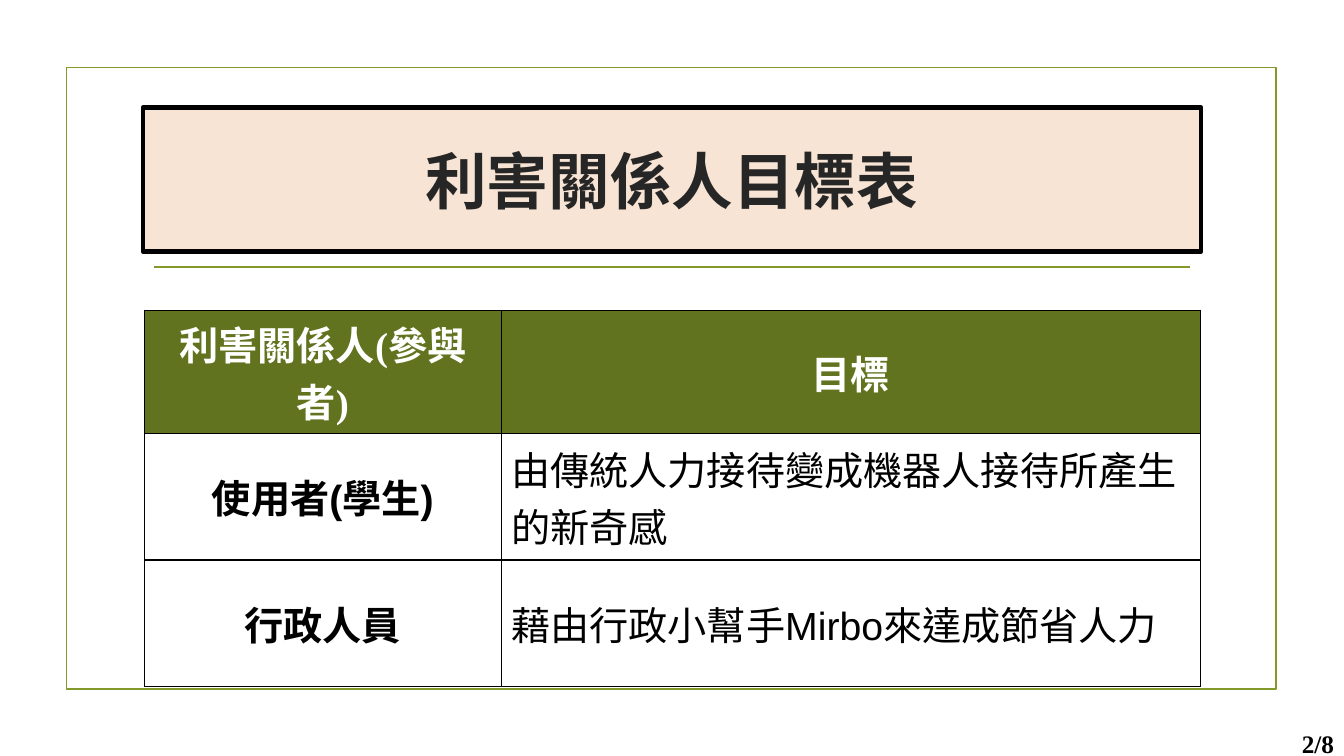
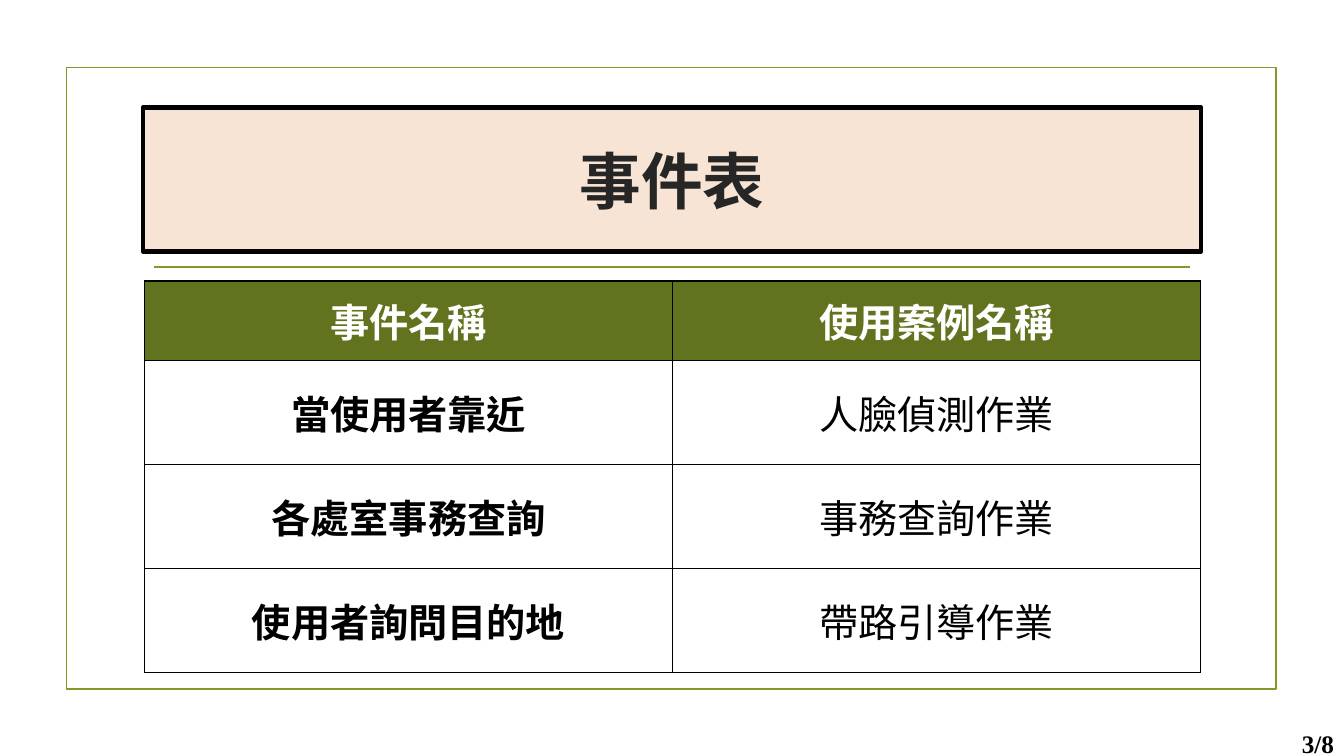
from dataclasses import dataclass

from lxml.etree import SubElement
from pptx import Presentation
from pptx.dml.color import RGBColor
from pptx.enum.lang import MSO_LANGUAGE_ID
from pptx.enum.shapes import MSO_CONNECTOR, MSO_SHAPE
from pptx.enum.text import MSO_ANCHOR, MSO_AUTO_SIZE, PP_ALIGN
from pptx.oxml.ns import qn
from pptx.util import Cm, Pt

OLIVE, DARK_OLIVE, PEACH = "83992A", "62731F", "F7E4D4"
BLACK, CHARCOAL, WHITE = "000000", "262626", "FFFFFF"
SERIF, SANS = "Times New Roman", "Arial"
TITLE_FONT = {"name": SERIF, "size": Pt(44), "bold": True}
HEAD_FONT = {"name": SANS, "size": Pt(28), "bold": True}
BODY_FONT = {**HEAD_FONT, "bold": False}
PAGE_FONT = {"name": SERIF, "size": Pt(18), "bold": True}
PAGE_COUNT = 8


@dataclass
class TableSlide:
    """Content and table measures, in centimetres, of one slide."""

    page: int
    title: str
    top: float
    widths: list[float]
    heights: list[float]
    rows: list[tuple[str, str]]
    first_font: str = SANS
    body_align: PP_ALIGN = PP_ALIGN.CENTER


SLIDES = [
    TableSlide(
        2, "利害關係人目標表", 7.82, [8.99, 17.63], [2.59, 3.18, 3.18],
        [
            ("利害關係人(參與者)", "目標"),
            ("使用者(學生)", "由傳統人力接待變成機器人接待所產生的新奇感"),
            ("行政人員", "藉由行政小幫手Mirbo來達成節省人力"),
        ],
        first_font=SERIF, body_align=PP_ALIGN.LEFT,
    ),
    TableSlide(
        3, "事件表", 7.08, [13.31] * 2, [2.01] + [2.62] * 3,
        [
            ("事件名稱", "使用案例名稱"),
            ("當使用者靠近", "人臉偵測作業"),
            ("各處室事務查詢", "事務查詢作業"),
            ("使用者詢問目的地", "帶路引導作業"),
        ],
        first_font=SERIF,
    ),
]


def rgb(value: str) -> RGBColor:
    """Return the colour of a hex string."""
    return RGBColor.from_string(value)


def write(tf, text: str, font: dict, color: str, align: PP_ALIGN) -> None:
    """Fill a text frame with one formatted run."""
    p = tf.paragraphs[0]
    p.alignment = align
    r = p.add_run()
    r.text = text
    for name, value in font.items():
        setattr(r.font, name, value)
    r.font.language_id = MSO_LANGUAGE_ID.TRADITIONAL_CHINESE
    r.font.color.rgb = rgb(color)


def outline(shape, color: str, width: float) -> None:
    """Set the line of a shape or connector."""
    shape.line.color.rgb = rgb(color)
    shape.line.width = Pt(width)


def add_frame(s) -> None:
    """Draw the border and the rule under the title."""
    frame = s.shapes.add_shape(
        MSO_SHAPE.RECTANGLE, Cm(1.68), Cm(1.7), Cm(30.48), Cm(15.67))
    frame.fill.background()
    frame.shadow.inherit = False
    rule = s.shapes.add_connector(
        MSO_CONNECTOR.STRAIGHT, Cm(3.89), Cm(6.73), Cm(30), Cm(6.73))
    SubElement(rule.element.spPr, qn("a:effectLst"))
    for shape in (frame, rule):
        outline(shape, OLIVE, 1.25)
    effects = rule.element.spPr.find(qn("a:effectLst"))
    rule.element.spPr.append(effects)


def add_title(s, text: str) -> None:
    """Place and format the title placeholder."""
    sp = s.shapes.title
    box = {"left": Cm(3.6), "top": Cm(2.71), "width": Cm(26.67), "height": Cm(3.63)}
    for name, value in box.items():
        setattr(sp, name, value)
    sp.fill.solid()
    sp.fill.fore_color.rgb = rgb(PEACH)
    outline(sp, BLACK, 3)
    tf = sp.text_frame
    tf.auto_size = MSO_AUTO_SIZE.NONE
    tf.vertical_anchor = MSO_ANCHOR.MIDDLE
    write(tf, text, TITLE_FONT, CHARCOAL, PP_ALIGN.CENTER)


def add_borders(cell) -> None:
    """Give a table cell a thin black line on every side."""
    props = cell._tc.get_or_add_tcPr()
    for side in ("lnL", "lnR", "lnT", "lnB"):
        ln = SubElement(props, qn(f"a:{side}"), w=str(Pt(1)))
        fill = SubElement(ln, qn("a:solidFill"))
        SubElement(fill, qn("a:srgbClr"), val=BLACK)


def add_table(s, spec_: TableSlide) -> None:
    """Draw the table with its header row and bold first column."""
    table = s.shapes.add_table(
        len(spec_.rows), len(spec_.widths), Cm(3.64), Cm(spec_.top),
        Cm(sum(spec_.widths)), Cm(sum(spec_.heights))).table
    table.horz_banding = False
    for col, width in zip(table.columns, spec_.widths):
        col.width = Cm(width)
    for row, height in zip(table.rows, spec_.heights):
        row.height = Cm(height)
    for i, texts in enumerate(spec_.rows):
        for j, text in enumerate(texts):
            cell = table.cell(i, j)
            cell.vertical_anchor = MSO_ANCHOR.MIDDLE
            add_borders(cell)
            font, color, align = HEAD_FONT, BLACK, PP_ALIGN.CENTER
            if i == 0:
                cell.fill.solid()
                cell.fill.fore_color.rgb = rgb(DARK_OLIVE)
                color = WHITE
                if j == 0:
                    font = {**HEAD_FONT, "name": spec_.first_font}
            else:
                cell.fill.background()
                if j > 0:
                    font, align = BODY_FONT, spec_.body_align
            write(cell.text_frame, text, font, color, align)


def add_page_number(s, page: int) -> None:
    """Write the page count in the lower right corner."""
    tf = s.shapes.add_textbox(Cm(32.56), Cm(18.22), Cm(1.48), Cm(1.01)).text_frame
    tf.word_wrap = False
    tf.auto_size = MSO_AUTO_SIZE.SHAPE_TO_FIT_TEXT
    write(tf, f"{page}/{PAGE_COUNT}", PAGE_FONT, BLACK, PP_ALIGN.LEFT)


def main() -> None:
    """Build and save the presentation."""
    prs = Presentation()
    prs.slide_width, prs.slide_height = Cm(33.87), Cm(19.05)
    for content in SLIDES:
        s = prs.slides.add_slide(prs.slide_layouts[5])
        add_frame(s)
        add_title(s, content.title)
        add_table(s, content)
        add_page_number(s, content.page)
    prs.save("out.pptx")


if __name__ == "__main__":
    main()
